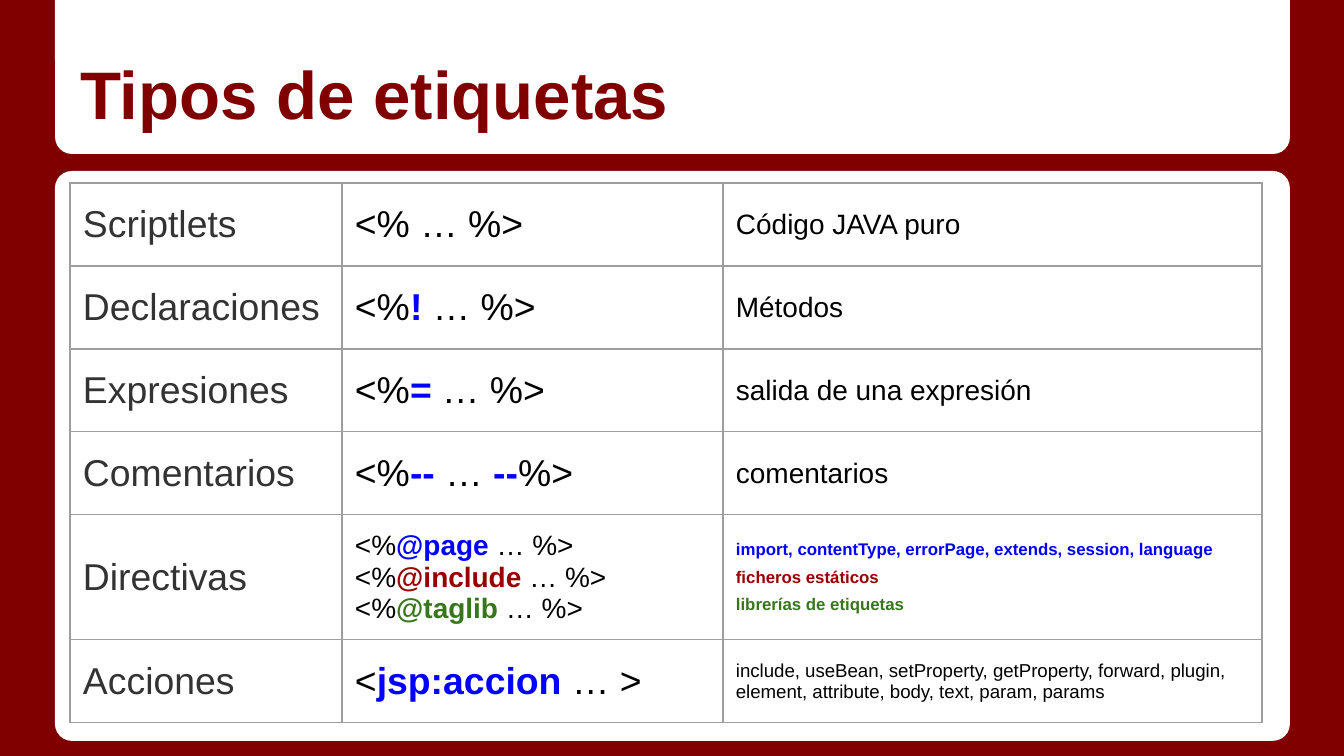
from lxml import etree
from pptx import Presentation, util as u
from pptx.dml.color import RGBColor
from pptx.enum import shapes, text
from pptx.oxml.ns import qn

SCALE = 914400 / 134.4
MAROON, WHITE, BLACK, GREY = "800000", "FFFFFF", "000000", "333333"
BLUE, RED, GREEN, BORDER = "0000FF", "980000", "38761D", "9E9E9E"


def px(length):
    return u.Emu(round(length * SCALE))


def colour(value):
    return RGBColor.from_string(value)


class SlideBuilder:
    font = "Arial"
    margin = 13

    def __init__(self, deck):
        self.page = deck.slides.add_slide(deck.slide_layouts[5])

    def background(self, fill):
        self.page.background.fill.solid()
        self.page.background.fill.fore_color.rgb = colour(fill)

    def panel(self, kind, left, top, width, height, adjustments, rotation=0):
        shape = self.page.shapes.add_shape(kind, px(left), px(top), px(width), px(height))
        for index, value in enumerate(adjustments):
            shape.adjustments[index] = value
        shape.rotation = rotation
        shape.shadow.inherit = False
        shape.fill.solid()
        shape.fill.fore_color.rgb = colour(WHITE)
        shape.line.fill.background()

    def span(self, para, words, size, ink, bold=False):
        span = para.add_run()
        span.text = words
        span.font.name = self.font
        span.font.size = u.Pt(size)
        span.font.bold = bold
        span.font.color.rgb = colour(ink)

    def inset(self, box):
        box.margin_left = box.margin_right = px(self.margin)
        box.margin_top = box.margin_bottom = px(self.margin)
        box.vertical_anchor = text.MSO_ANCHOR.MIDDLE

    def title(self, words, left, top, width, height):
        title = self.page.shapes.title
        title.left, title.top, title.width, title.height = map(px, (left, top, width, height))
        frame = title.text_frame
        self.inset(frame)
        frame.vertical_anchor = text.MSO_ANCHOR.BOTTOM
        frame.auto_size = text.MSO_AUTO_SIZE.NONE
        para = frame.paragraphs[0]
        para.alignment = text.PP_ALIGN.LEFT
        self.span(para, words, 36, MAROON, True)
        # Bring the title in front of the panels
        title.element.getparent().append(title.element)

    def borders(self, cell):
        properties = cell._tc.get_or_add_tcPr()
        for side in ("lnL", "lnR", "lnT", "lnB"):
            line = etree.SubElement(properties, qn("a:" + side), w=str(u.Pt(0.75)))
            fill = etree.SubElement(line, qn("a:solidFill"))
            etree.SubElement(fill, qn("a:srgbClr"), val=BORDER)

    def cell(self, cell, paragraphs, size, before=0):
        """Each paragraph is a list of (words, colour, bold) spans."""
        self.inset(cell)
        self.borders(cell)
        cell.fill.background()
        for index, spans in enumerate(paragraphs):
            frame = cell.text_frame
            para = frame.add_paragraph() if index else frame.paragraphs[0]
            para.space_before = u.Pt(before)
            for words, ink, bold in spans:
                self.span(para, words, size, ink, bold)

    def table(self, left, top, widths, heights):
        table = self.page.shapes.add_table(
            len(heights), len(widths), px(left), px(top),
            px(sum(widths)), px(sum(heights))).table
        table.first_row = table.horz_banding = False
        for column, width in zip(table.columns, widths):
            column.width = px(width)
        for row, height in zip(table.rows, heights):
            row.height = px(height)
        return table


def plain(words, ink=BLACK):
    return [(words, ink, False)]


def strong(words, ink=BLUE):
    return [(words, ink, True)]


def tag(mark, ink=BLUE):
    return plain("<%") + strong(mark, ink) + plain(" … %>")


# Name, tag paragraphs, tag size, description paragraphs, size, space before
ROWS = [
    ("Scriptlets", [plain("<% … %>")], 20, [plain("Código JAVA puro")], 15, 0),
    ("Declaraciones", [tag("!")], 20, [plain("Métodos")], 15, 0),
    ("Expresiones", [tag("=")], 20, [plain("salida de una expresión")], 15, 0),
    ("Comentarios",
     [plain("<%") + strong("--") + plain(" … ") + strong("--") + plain("%>")], 20,
     [plain("comentarios")], 15, 0),
    ("Directivas", [tag("@page"), tag("@include", RED), tag("@taglib", GREEN)], 15,
     [strong("import, contentType, errorPage, extends, session, language"),
      strong("ficheros estáticos", RED),
      strong("librerías de etiquetas", GREEN)], 9, 4.8),
    ("Acciones", [plain("<") + strong("jsp:accion") + plain(" … >")], 20,
     [plain("include, useBean, setProperty, getProperty, forward, plugin, "
            "element, attribute, body, text, param, params")], 10, 0),
]


def main():
    deck = Presentation()
    deck.slide_width, deck.slide_height = px(1344), px(756)
    slide = SlideBuilder(deck)

    # Background and white panels
    slide.background(MAROON)
    slide.panel(shapes.MSO_SHAPE.ROUNDED_RECTANGLE, 55, 171, 1235, 570, [0.03])
    slide.panel(shapes.MSO_SHAPE.ROUND_2_SAME_RECTANGLE, 55, 0, 1235, 154, [0.11, 0], 180)

    # Title
    slide.title("Tipos de etiquetas", 67, 20, 1210, 126)

    # Table of tag types
    table = slide.table(70, 183, [272, 381, 539], [83, 83, 83, 83, 125, 83])
    for index, (name, tags, tag_size, notes, note_size, before) in enumerate(ROWS):
        slide.cell(table.cell(index, 0), [plain(name, GREY)], 20, 6)
        slide.cell(table.cell(index, 1), tags, tag_size)
        slide.cell(table.cell(index, 2), notes, note_size, before)

    deck.save("out.pptx")


if __name__ == "__main__":
    main()
